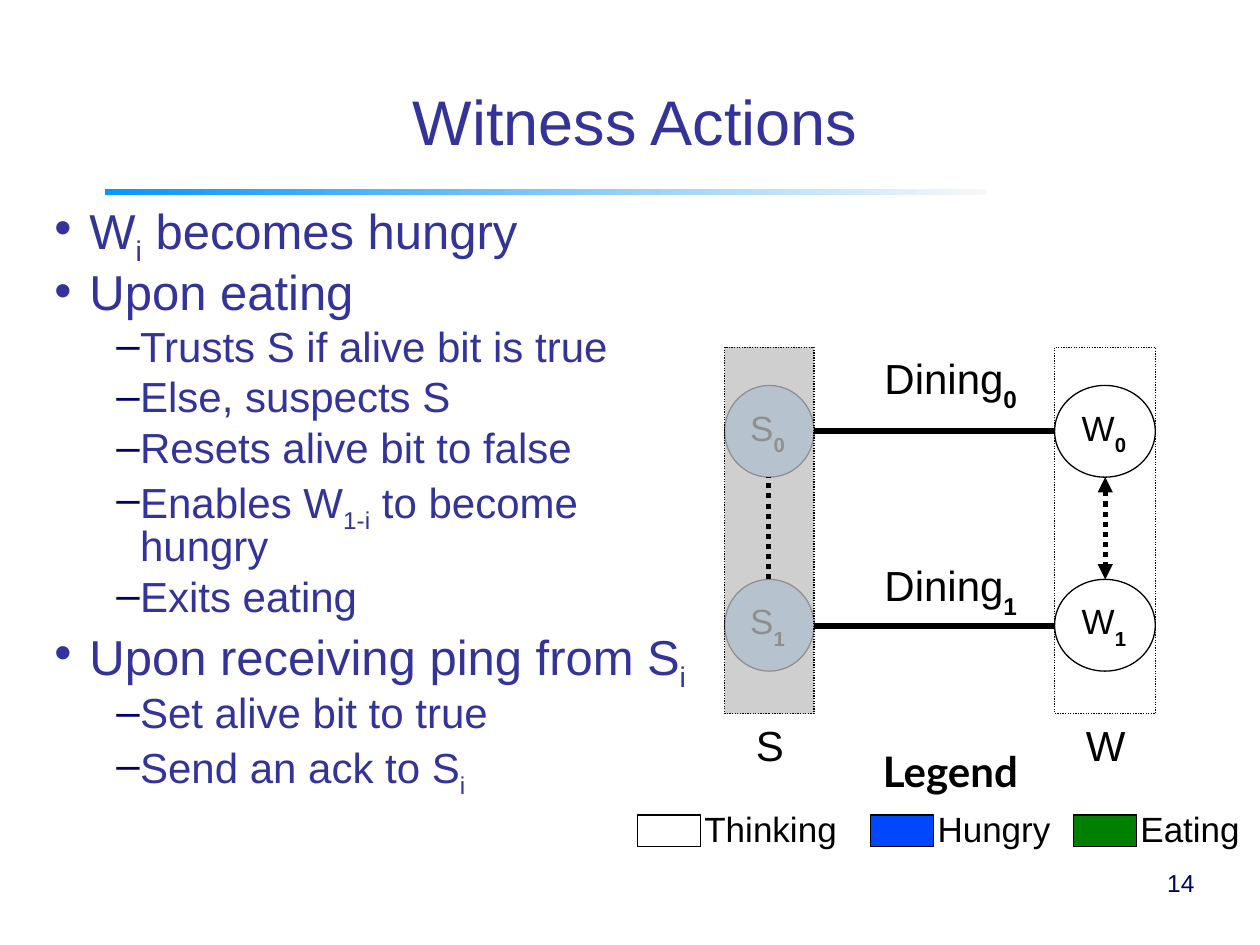
from lxml.etree import SubElement
from pptx import Presentation
from pptx.dml.color import RGBColor
from pptx.enum.dml import MSO_LINE
from pptx.enum.shapes import MSO_CONNECTOR, MSO_SHAPE
from pptx.enum.text import MSO_ANCHOR, MSO_AUTO_SIZE, PP_ALIGN
from pptx.oxml.ns import qn
from pptx.util import Cm, Pt

HUES = {"title": "333399", "navy": "000066", "black": "000000", "white": "FFFFFF",
        "sky": "99CCFF", "gray": "C0C0C0", "blue": "0047FF", "green": "008000",
        "bar": "0099FF", "fade": "F8F8F8"}
RGB = {name: RGBColor.from_string(code) for name, code in HUES.items()}


def write(par, text, size, hue="black", face="Arial", bold=None):
    par.font.size, par.font.name = Pt(size), face
    par.font.color.rgb = RGB[hue]
    for i, part in enumerate(text.split("_")):
        if part:
            run = par.add_run()
            run.text = part
            if i % 2:
                run.font.bold = bold
                run.font._element.set("baseline", "-33000" if bold else "-25000")


def link(x1, y1, x2, y2, width, dash=None, ends=()):
    line = slide.shapes.add_connector(MSO_CONNECTOR.STRAIGHT, Cm(x1), Cm(y1), Cm(x2), Cm(y2))
    line.line.color.rgb = RGB["black"]
    line.line.width = Pt(width)
    line.line.dash_style = dash
    for end in ends:
        SubElement(line.line._get_or_add_ln(), qn(end), type="triangle")
    SubElement(line._element.spPr, qn("a:effectLst"))


deck = Presentation()
deck.slide_width, deck.slide_height = Cm(25.4), Cm(19.05)
slide = deck.slides.add_slide(deck.slide_layouts[1])
title, body = slide.placeholders

bar = slide.shapes.add_shape(MSO_SHAPE.RECTANGLE, Cm(2.11), Cm(3.81), Cm(17.78), Cm(0.13))
bar.shadow.inherit = False
bar.line.fill.background()
bar.fill.gradient()
bar.fill.gradient_angle = 0
for stop, hue in zip(bar.fill.gradient_stops, ("bar", "fade")):
    stop.color.rgb = RGB[hue]

title.left, title.top, title.width, title.height = Cm(1.7), Cm(1.04), Cm(22.2), Cm(2.31)
title.text_frame.auto_size = MSO_AUTO_SIZE.NONE
title.text_frame.vertical_anchor = MSO_ANCHOR.BOTTOM
head = title.text_frame.paragraphs[0]
head.alignment = PP_ALIGN.CENTER
head.line_spacing = 0.93
write(head, "Witness Actions", 36, "title")

body.left, body.top, body.width, body.height = Cm(0.84), Cm(4.01), Cm(13.34), Cm(13.77)
body.text_frame.auto_size = MSO_AUTO_SIZE.NONE
LEVELS = [
    {"size": 28, "gap": 6, "left": 0.71, "hang": -0.71, "mark": "•", "hue": "title"},
    {"size": 24, "gap": 5, "left": 1.73, "hang": -0.48, "mark": "‒", "hue": "navy"},
]
ITEMS = [
    (0, "W_i_ becomes hungry"),
    (0, "Upon eating"),
    (1, "Trusts S if alive bit is true"),
    (1, "Else, suspects S"),
    (1, "Resets alive bit to false"),
    (1, "Enables W_1-i_ to become hungry"),
    (1, "Exits eating"),
    (0, "Upon receiving ping from S_i_"),
    (1, "Set alive bit to true"),
    (1, "Send an ack to S_i_"),
]
for i, (level, text) in enumerate(ITEMS):
    par = body.text_frame.add_paragraph() if i else body.text_frame.paragraphs[0]
    style = LEVELS[level]
    par.level = level
    par.line_spacing = 0.83
    par.space_before = Pt(style["gap"] if i else 0)
    props = par._p.get_or_add_pPr()
    props.set("marL", str(Cm(style["left"])))
    props.set("indent", str(Cm(style["hang"])))
    SubElement(SubElement(props, qn("a:buClr")), qn("a:srgbClr"), val=HUES[style["hue"]])
    SubElement(props, qn("a:buChar"), char=style["mark"])
    write(par, text, style["size"], "title")

TOPS = [7.77, 11.68]
COLS = [("S", 14.61, 1.8, "sky"), ("W", 21.26, 2.03, "white")]
LABELS = [
    ("S", 14.99, 14.38, 1.32, 2.13, 24, "Arial"),
    ("W", 21.64, 14.38, 1.65, 2.13, 24, "Arial"),
    ("Dining_0_", 17.58, 6.99, 3.38, 1.55, 24, "Arial"),
    ("Dining_1_", 17.58, 11.15, 3.38, 1.55, 24, "Arial"),
    ("Legend", 17.55, 14.91, 3.8, 1.27, 24, "Lato"),
]
KEYS = [("Thinking", 12.85, 3.5, "white"), ("Hungry", 17.55, 3, "blue"),
        ("Eating", 21.64, 2.64, "green")]

SHAPES = [(MSO_SHAPE.OVAL, x, y, w, 1.85, hue, f"{name}_{i}_")
          for name, x, w, hue in COLS for i, y in enumerate(TOPS)]
SHAPES += [(MSO_SHAPE.RECTANGLE, x, 7, w, 7.39, hue, "")
           for (_, x, w, _), hue in zip(COLS, ("gray", None))]
for text, x, width, hue in KEYS:
    SHAPES.append((MSO_SHAPE.RECTANGLE, x, 16.43, 1.27, 0.64, hue, ""))
    LABELS.append((text, x + 1.1, 16.15, width, 1.09, 20, "Arial"))

for kind, x, y, w, h, hue, text in SHAPES:
    shape = slide.shapes.add_shape(kind, Cm(x), Cm(y), Cm(w), Cm(h))
    shape.shadow.inherit = False
    shape.line.color.rgb = RGB["black"]
    shape.line.width = Pt(0.75)
    if hue:
        shape.fill.solid()
        shape.fill.fore_color.rgb = RGB[hue]
    else:
        shape.fill.background()
    if h == 7.39:
        shape.line.dash_style = MSO_LINE.ROUND_DOT
    if hue == "gray":
        tint = shape._element.spPr.find(qn("a:solidFill"))[0]
        SubElement(tint, qn("a:alpha"), val="75000")
    if text:
        par = shape.text_frame.paragraphs[0]
        par.alignment = PP_ALIGN.LEFT
        write(par, text, 20, bold=True)

for text, x, y, w, h, size, face in LABELS:
    box = slide.shapes.add_textbox(Cm(x), Cm(y), Cm(w), Cm(h))
    box.text_frame.word_wrap = True
    par = box.text_frame.paragraphs[0]
    write(par, text, size, face=face, bold=True)
    if face == "Lato":
        par.font.bold = True

for y in (8.69, 12.62):
    link(16.41, y, 21.26, y, 3.6)
link(15.5, 11.68, 15.5, 9.62, 2.89, MSO_LINE.ROUND_DOT)
link(22.28, 9.62, 22.28, 11.68, 2.89, MSO_LINE.ROUND_DOT, ("a:headEnd", "a:tailEnd"))

page = slide.shapes.add_textbox(Cm(19.05), Cm(17.15), Cm(5.28), Cm(1.27))
page.text_frame.word_wrap = True
page.text_frame.vertical_anchor = MSO_ANCHOR.MIDDLE
par = page.text_frame.paragraphs[0]
par.alignment = PP_ALIGN.RIGHT
write(par, "14", 14, "navy")

deck.save("out.pptx")
